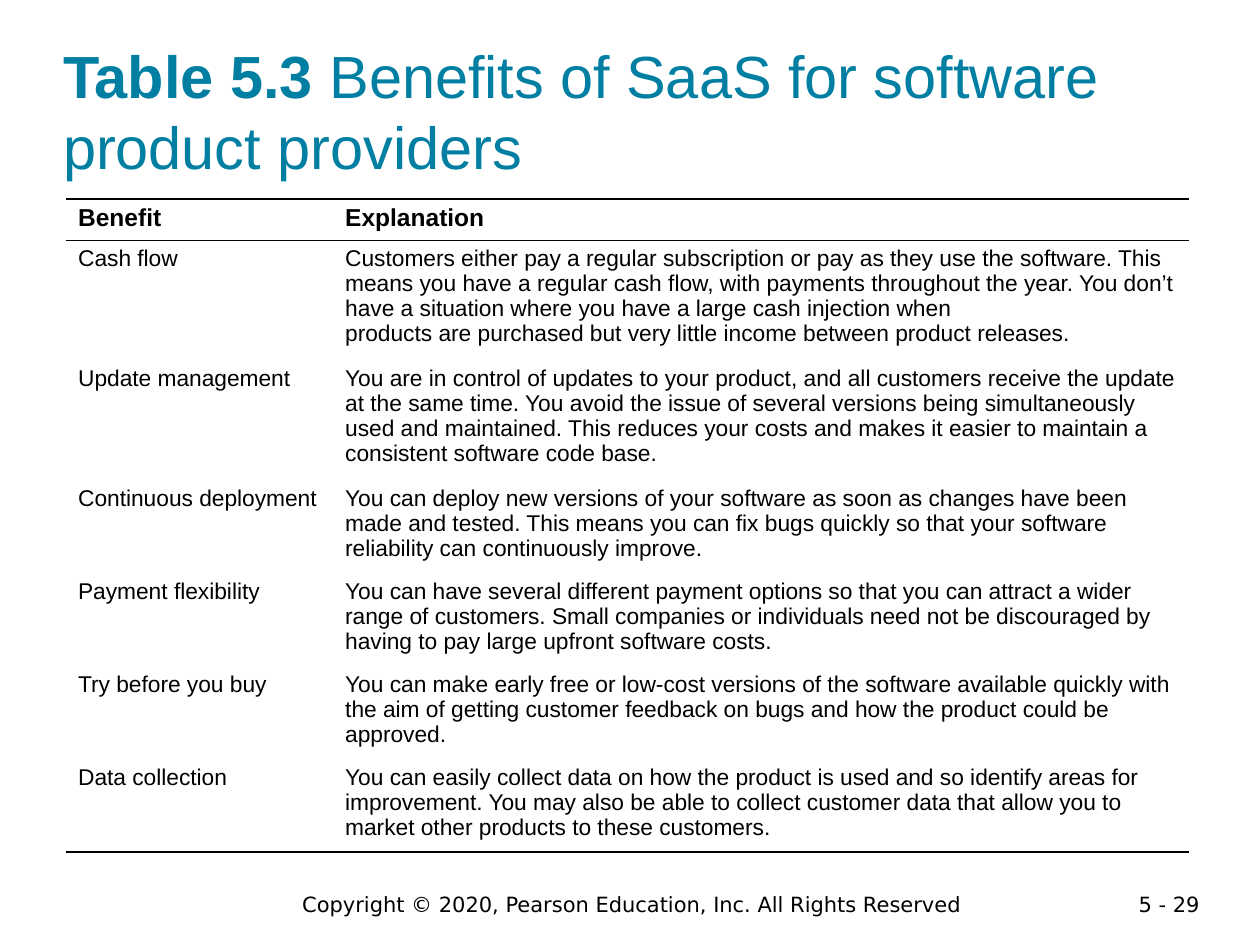
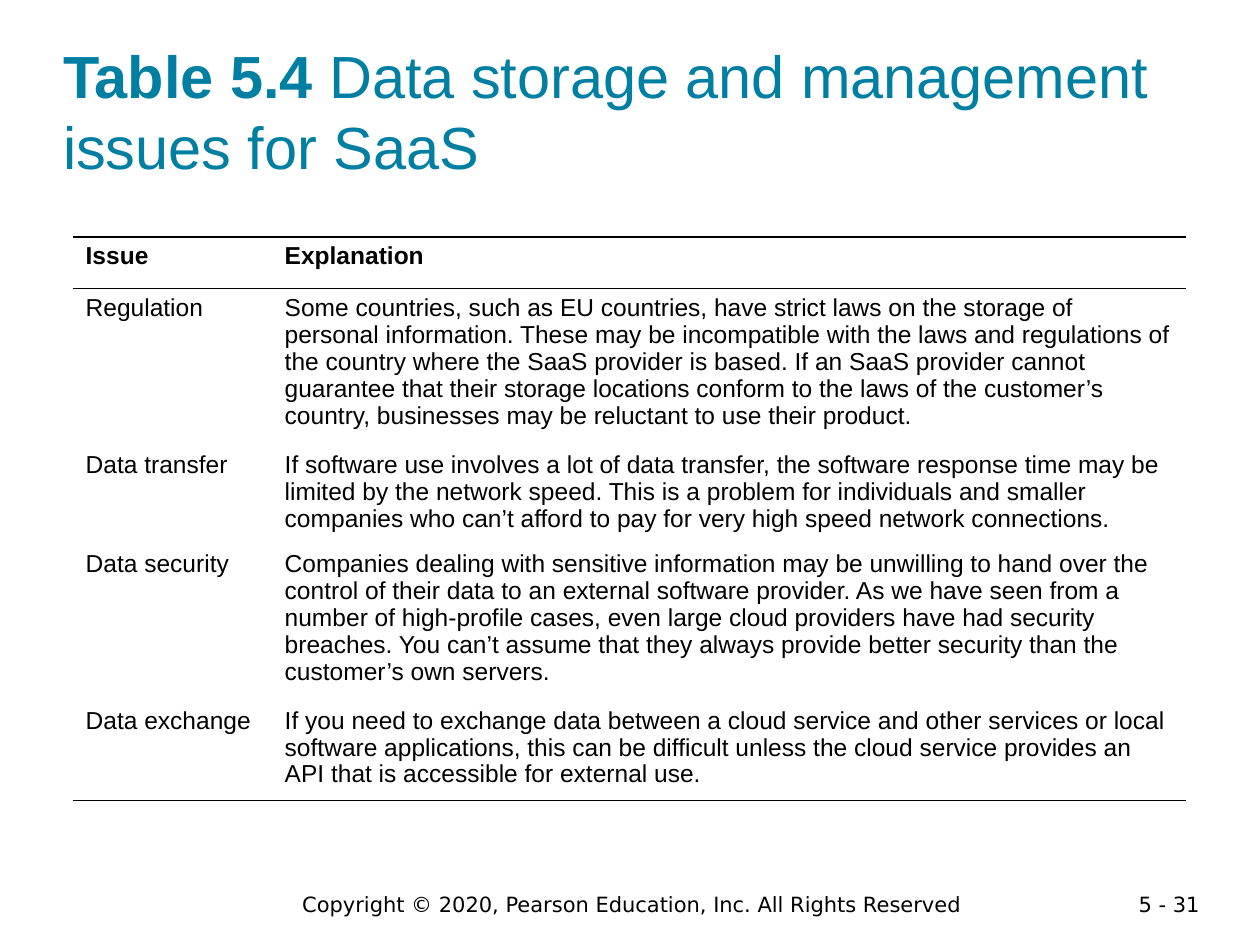
from pptx import Presentation
from pptx.dml.color import RGBColor
from pptx.enum.text import MSO_ANCHOR, PP_ALIGN
from pptx.oxml.ns import qn
from pptx.util import Inches, Pt
from lxml.etree import SubElement

TEAL, BLACK, WHITE = "007FA3", "000000", "FFFFFF"
BODY_FONT, FOOTER_FONT = "Arial", "DejaVu Sans"
COPYRIGHT = "Copyright © 2020, Pearson Education, Inc. All Rights Reserved"

TABLES = [
    dict(
        label="Table 5.3 ", title="Benefits of SaaS for software product providers", page="5 - 29",
        left=0.52, top=1.58, cols=(2.12, 6.8), row_height=0.3, size=13,
        rows=[
            ("Benefit", "Explanation"),
            ("Cash flow",
             "Customers either pay a regular subscription or pay as they use the software. This means you "
             "have a regular cash flow, with payments throughout the year. You don’t have a situation where "
             "you have a large cash injection when\n"
             "products are purchased but very little income between product releases."),
            ("Update management",
             "You are in control of updates to your product, and all customers receive the update at the same "
             "time. You avoid the issue of several versions being simultaneously used and maintained. This "
             "reduces your costs and makes it easier to maintain a consistent software code base."),
            ("Continuous deployment",
             "You can deploy new versions of your software as soon as changes have been made and tested. This "
             "means you can fix bugs quickly so that your software reliability can continuously improve."),
            ("Payment flexibility",
             "You can have several different payment options so that you can attract a wider range of "
             "customers. Small companies or individuals need not be discouraged by having to pay large "
             "upfront software costs."),
            ("Try before you buy",
             "You can make early free or low-cost versions of the software available quickly with the aim of "
             "getting customer feedback on bugs and how the product could be approved."),
            ("Data collection",
             "You can easily collect data on how the product is used and so identify areas for improvement. "
             "You may also be able to collect customer data that allow you to market other products to these "
             "customers."),
        ]),
    dict(
        label="Table 5.4 ", title="Data storage and management issues for SaaS", page="5 - 31",
        left=0.58, top=1.88, cols=(1.58, 7.25), row_height=0.41, size=14,
        rows=[
            ("Issue", "Explanation"),
            ("Regulation",
             "Some countries, such as EU countries, have strict laws on the storage of personal information. "
             "These may be incompatible with the laws and regulations of the country where the SaaS provider "
             "is based. If an SaaS provider cannot guarantee that their storage locations conform to the laws "
             "of the customer’s country, businesses may be reluctant to use their product."),
            ("Data transfer",
             "If software use involves a lot of data transfer, the software response time may be limited by "
             "the network speed. This is a problem for individuals and smaller companies who can’t afford to "
             "pay for very high speed network connections."),
            ("Data security",
             "Companies dealing with sensitive information may be unwilling to hand over the control of their "
             "data to an external software provider. As we have seen from a number of high-profile cases, even "
             "large cloud providers have had security breaches. You can’t assume that they always provide "
             "better security than the\n"
             "customer’s own servers."),
            ("Data exchange",
             "If you need to exchange data between a cloud service and other services or local software "
             "applications, this can be difficult unless the cloud service provides an API that is accessible "
             "for external use."),
        ]),
]


def color(value):
    return RGBColor.from_string(value)


def add_run(p, text, size=14, font=BODY_FONT, fill=BLACK, bold=False):
    r = p.add_run()
    r.text = text
    r.font.size, r.font.name, r.font.bold = Pt(size), font, bold
    r.font.color.rgb = color(fill)


def write(tf, text, align=PP_ALIGN.LEFT, spacing=None, **style):
    tf.word_wrap = True
    for i, line in enumerate(text.split("\n")):
        p = tf.add_paragraph() if i else tf.paragraphs[0]
        p.alignment, p.line_spacing = align, spacing
        add_run(p, line, **style)


def add_title(s, label, title):
    sp = s.shapes.title
    sp.left, sp.top, sp.width, sp.height = map(Inches, (0.5, 0.24, 9, 1.2))
    tf = sp.text_frame
    tf.margin_left = tf.margin_top = tf.margin_right = tf.margin_bottom = 0
    tf.vertical_anchor = MSO_ANCHOR.BOTTOM
    write(tf, label, size=34, fill=TEAL, bold=True)
    add_run(tf.paragraphs[0], title, size=34, fill=TEAL)


def add_footer(s, page):
    for text, box, align in ((page, (8.62, 7.03, 1, 0.22), PP_ALIGN.RIGHT),
                             (COPYRIGHT, (1.64, 7.03, 6.75, 0.3), PP_ALIGN.CENTER)):
        sp = s.shapes.add_textbox(*map(Inches, box))
        write(sp.text_frame, text, align=align, size=12, font=FOOTER_FONT)


def set_borders(cell, ruled):
    tcPr = cell._tc.get_or_add_tcPr()
    for side in ("lnL", "lnR", "lnT", "lnB"):
        ln = SubElement(tcPr, qn("a:" + side), w=str(Pt(1)))
        if side in ruled:
            fill = SubElement(ln, qn("a:solidFill"))
            SubElement(fill, qn("a:srgbClr"), val=BLACK)
        else:
            SubElement(ln, qn("a:noFill"))


def add_ruled_table(s, left, top, cols, row_height, size, rows):
    frame = s.shapes.add_table(len(rows), len(cols), Inches(left), Inches(top),
                               Inches(sum(cols)), Inches(row_height * len(rows)))
    table = frame.table
    table.first_row = table.horz_banding = False
    for column, width in zip(table.columns, cols):
        column.width = Inches(width)
    ruled = {0: ("lnT", "lnB"), 1: ("lnT",), len(rows) - 1: ("lnB",)}
    for i, row in enumerate(rows):
        for j, text in enumerate(row):
            cell = table.cell(i, j)
            write(cell.text_frame, text, spacing=0.98, size=size if i else 14, bold=i == 0)
            set_borders(cell, ruled.get(i, ()))
            cell.fill.solid()
            cell.fill.fore_color.rgb = color(WHITE)


def main():
    prs = Presentation()
    prs.slide_width, prs.slide_height = Inches(10), Inches(7.5)
    for t in TABLES:
        s = prs.slides.add_slide(prs.slide_layouts[5])
        add_title(s, t["label"], t["title"])
        add_footer(s, t["page"])
        add_ruled_table(s, t["left"], t["top"], t["cols"], t["row_height"], t["size"], t["rows"])
    prs.save("out.pptx")


if __name__ == "__main__":
    main()
